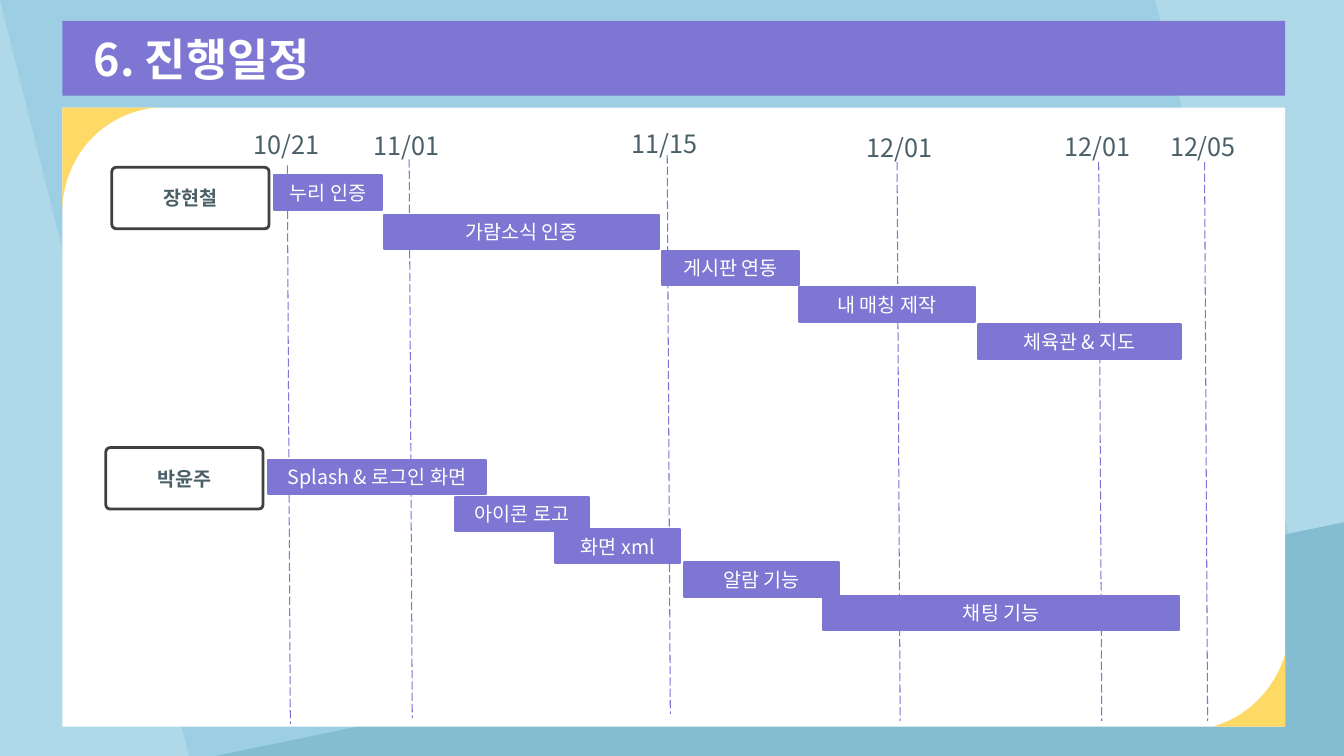
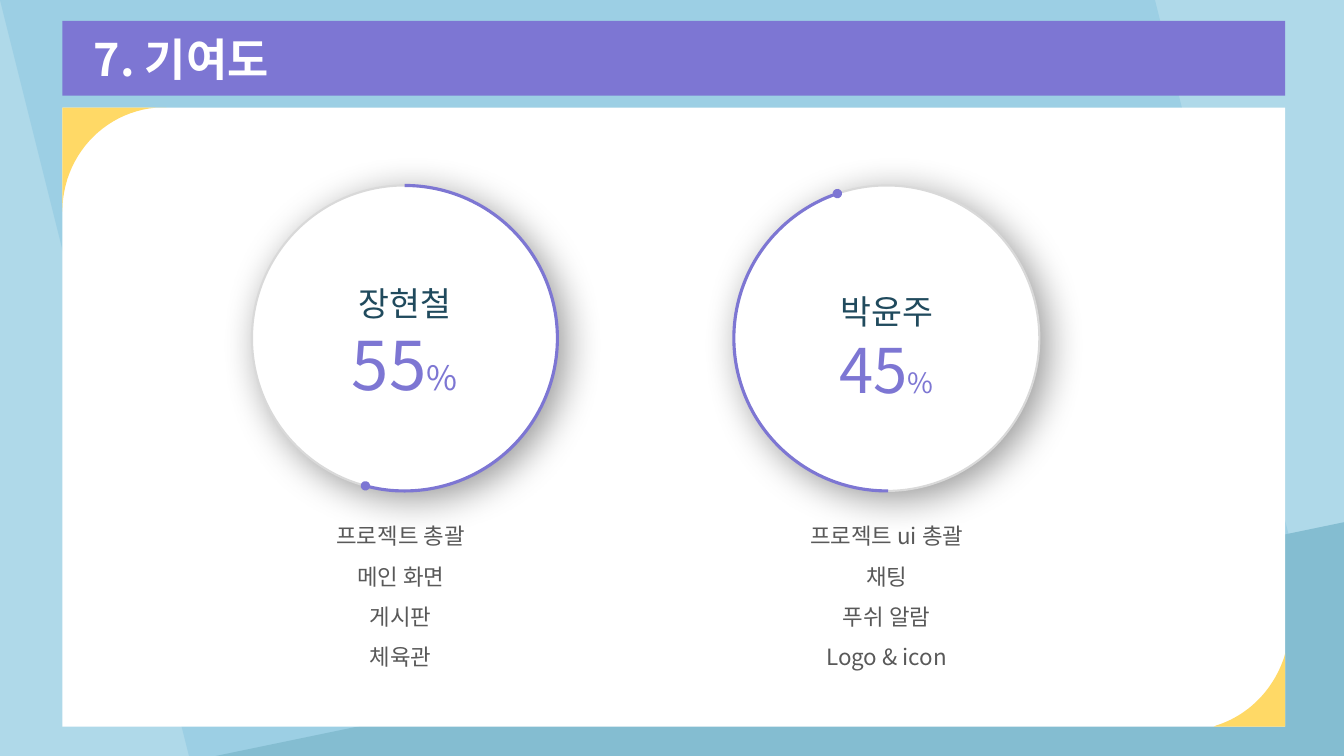
"""Build the project schedule and contribution slides."""

from dataclasses import dataclass
from typing import Any, NamedTuple

import lxml.etree
import pptx
import pptx.dml.color
import pptx.enum.dml
import pptx.enum.shapes
import pptx.enum.text
import pptx.oxml.ns
import pptx.util

Pt = pptx.util.Pt
qn = pptx.oxml.ns.qn
SHAPE = pptx.enum.shapes.MSO_SHAPE
ALIGN = pptx.enum.text.PP_ALIGN
ANCHOR = pptx.enum.text.MSO_ANCHOR

FONT = "Noto Sans CJK KR"
WIDTH, HEIGHT = 960, 540
COLORS = {
    "sky": "AFD9E9", "band": "9CCFE4", "wedge": "84BDD1",
    "purple": "7D76D3", "white": "FFFFFF", "yellow": "FFD966",
    "slate": "4A5F68", "frame": "404040", "ring": "D9D9D9",
    "navy": "204A5D", "gray": "595959", "black": "000000",
}
PANEL = (44.6, 77, 873.4, 442.1)
GUIDE_DX, GUIDE_DY = 2.2, 399
BAR_HEIGHT = 24.5
NAME_SIZE = (112.3, 43.9)
RING = 218.2


class Run(NamedTuple):
    text: str
    size: float
    color: str
    bold: bool = False


class Corner(NamedTuple):
    outline: list[tuple[float, float]]
    curve: list[tuple[float, float]]


class Milestone(NamedTuple):
    date: str
    x: float
    y: float
    guide_x: float
    guide_y: float


class Task(NamedTuple):
    label: str
    x: float
    y: float
    width: float


@dataclass
class Member:
    name: str
    x: float
    y: float
    tasks: list[Task]


@dataclass
class Share:
    name: str
    percent: str
    x: float
    sizes: tuple[float, float]
    angles: tuple[float, float]
    bottom_inset: float
    details_x: float
    details: list[str]


CORNERS = [
    Corner([(44.6, 77), (118.8, 77), (110.9, 77)],
           [(73.4, 80.6), (44.6, 112.3), (44.6, 151.2)]),
    Corner([(918, 466.6), (918, 519.1), (866.9, 519.1), (868.3, 518.4)],
           [(891.4, 511.2), (909.4, 493.2), (917.3, 469.4)]),
]
MILESTONES = [
    Milestone("10/21", 174.2, 88.6, 205.2, 118.1),
    Milestone("11/01", 259.9, 89.3, 292.3, 113.8),
    Milestone("11/15", 444.2, 87.8, 476.6, 110.9),
    Milestone("12/01", 612, 90.7, 640.8, 115.9),
    Milestone("12/01", 753.1, 90, 784.8, 115.9),
    Milestone("12/05", 828.7, 90, 860.4, 115.9),
]
MEMBERS = [
    Member("장현철", 79.9, 119.5, [
        Task("누리 인증", 195.8, 125.3, 77),
        Task("가람소식 인증", 274.3, 153.4, 196.6),
        Task("게시판 연동", 473, 179.3, 97.9),
        Task("내 매칭 제작", 571, 205.2, 125.3),
        Task("체육관 & 지도", 698.4, 231.8, 145.4),
    ]),
    Member("박윤주", 75.6, 319.7, [
        Task("Splash & 로그인 화면", 191.5, 328.3, 155.5),
        Task("아이콘 로고", 325.4, 355, 95),
        Task("화면 xml", 396.7, 378, 89.3),
        Task("알람 기능", 488.9, 401.8, 110.2),
        Task("채팅 기능", 588.2, 425.5, 254.2),
    ]),
]
SHARES = [
    Share("장현철", "55", 180, (48, 24), (270, 104.9), 7, 213.1,
          ["프로젝트 총괄", "메인 화면", "게시판", "체육관"]),
    Share("박윤주", "45", 524.2, (44, 20), (89.4, 251.2), 0, 560.2,
          ["프로젝트 ui 총괄", "채팅", "푸쉬 알람", "Logo & icon"]),
]


def rgb(name: str) -> pptx.dml.color.RGBColor:
    """Return a palette colour."""
    return pptx.dml.color.RGBColor.from_string(COLORS[name])


def assign(target: Any, values: dict[str, Any]) -> None:
    """Set each format value on the target."""
    for key, value in values.items():
        setattr(target, key, value)


def paint(sp: Any, fill: str | None, line: str | None = None,
          weight: float = 1) -> None:
    """Set fill and line and drop the shadow."""
    sp.shadow.inherit = False
    if fill:
        sp.fill.solid()
        sp.fill.fore_color.rgb = rgb(fill)
    else:
        sp.fill.background()
    if line:
        sp.line.color.rgb = rgb(line)
        sp.line.width = Pt(weight)
    else:
        sp.line.fill.background()


def add_shape(shapes: Any, kind: Any, box: tuple[float, ...], fill: str | None,
              line: str | None = None, weight: float = 1) -> Any:
    """Add a painted preset shape."""
    sp = shapes.add_shape(kind, *map(Pt, box))
    paint(sp, fill, line, weight)
    return sp


def write(sp: Any, paragraphs: list[list[Run]], align: Any = ALIGN.CENTER,
          anchor: Any = ANCHOR.MIDDLE,
          insets: tuple[float, ...] = (0, 0, 0, 0),
          spacing: tuple[float, ...] = ()) -> None:
    """Fill a shape with formatted paragraphs."""
    tf = sp.text_frame
    left, top, right, bottom = map(Pt, insets)
    assign(tf, {
        "word_wrap": True, "auto_size": pptx.enum.text.MSO_AUTO_SIZE.NONE,
        "vertical_anchor": anchor, "margin_left": left, "margin_top": top,
        "margin_right": right, "margin_bottom": bottom,
    })
    for i, runs in enumerate(paragraphs):
        p = tf.add_paragraph() if i else tf.paragraphs[0]
        assign(p, {"alignment": align,
                   "line_spacing": spacing[i] if spacing else 1.0})
        for run in runs:
            r = p.add_run()
            r.text = run.text
            assign(r.font, {"name": FONT, "size": Pt(run.size),
                            "bold": run.bold})
            r.font.color.rgb = rgb(run.color)
            rpr = r.font._element
            lxml.etree.SubElement(rpr, qn("a:ea"), typeface=FONT)


def add_corner(shapes: Any, corner: Corner) -> None:
    """Draw a yellow panel corner with a curved inner edge."""
    a = corner.outline[-1]
    b, c, d = corner.curve
    points = list(corner.outline[1:])
    steps = 24
    for i in range(1, steps + 1):
        t = i / steps
        u = 1 - t
        points.append(tuple(
            u**3 * a[k] + 3 * u * u * t * b[k] + 3 * u * t * t * c[k]
            + t**3 * d[k] for k in (0, 1)))
    x, y = map(Pt, corner.outline[0])
    builder = shapes.build_freeform(x, y)
    builder.add_line_segments([(Pt(px), Pt(py)) for px, py in points])
    paint(builder.convert_to_shape(), "yellow")


def add_slide(prs: Any, title: str) -> Any:
    """Add a slide with the shared backdrop, title band and panel."""
    s = prs.slides.add_slide(prs.slide_layouts[5])
    s.background.fill.solid()
    s.background.fill.fore_color.rgb = rgb("sky")
    for kind, box, fill in (
            (SHAPE.PARALLELOGRAM, (0, 0, WIDTH, HEIGHT), "band"),
            (SHAPE.RIGHT_TRIANGLE, (154, 373, 806, 167), "wedge")):
        sp = add_shape(s.shapes, kind, box, fill)
        sp.element.spPr.xfrm.set("flipH", "1")
    band = s.shapes.title
    s.shapes.element.append(band.element)
    left, top, width, height = map(Pt, (PANEL[0], 15, PANEL[2], 53.3))
    assign(band, {"left": left, "top": top, "width": width, "height": height})
    band.fill.solid()
    band.fill.fore_color.rgb = rgb("purple")
    write(band, [[Run(title, 32, "white", True)]], ALIGN.LEFT,
          insets=(22.3, 3.6, 7.2, 3.6))
    panel = s.shapes.add_group_shape().shapes
    add_shape(panel, SHAPE.RECTANGLE, PANEL, "white")
    for corner in CORNERS:
        add_corner(panel, corner)
    return s


def add_milestone(s: Any, m: Milestone) -> None:
    """Draw a date and its dashed guide."""
    sp = s.shapes.add_textbox(*map(Pt, (m.x, m.y, 72, 28.8)))
    write(sp, [[Run(m.date, 18, "slate")]], ALIGN.LEFT, ANCHOR.TOP,
          (7.2, 3.6, 7.2, 3.6))
    ends = (m.guide_x, m.guide_y, m.guide_x + GUIDE_DX, m.guide_y + GUIDE_DY)
    c = s.shapes.add_connector(
        pptx.enum.shapes.MSO_CONNECTOR.STRAIGHT, *map(Pt, ends))
    assign(c.line, {"width": Pt(0.75),
                    "dash_style": pptx.enum.dml.MSO_LINE.LONG_DASH})
    c.line.color.rgb = rgb("purple")
    lxml.etree.SubElement(c._element.spPr, qn("a:effectLst"))


def add_member(s: Any, member: Member) -> None:
    """Draw a member's name box and task bars."""
    sp = add_shape(s.shapes, SHAPE.ROUNDED_RECTANGLE,
                   (member.x, member.y, *NAME_SIZE), "white", "frame", 2)
    sp.adjustments[0] = 0.07
    write(sp, [[Run(member.name, 14, "slate", True)]])
    for task in member.tasks:
        sp = add_shape(s.shapes, SHAPE.RECTANGLE,
                       (task.x, task.y, task.width, BAR_HEIGHT),
                       "purple", "purple", 1.5)
        write(sp, [[Run(task.label, 14, "white")]])


def add_shadow(sp: Any) -> None:
    """Give a shape a soft shadow to the lower right."""
    effects = sp.element.spPr.find(qn("a:effectLst"))
    shadow = lxml.etree.SubElement(
        effects, qn("a:outerShdw"), blurRad=str(Pt(27)), dist=str(Pt(7)),
        dir="2700000", algn="tl", rotWithShape="0")
    color = lxml.etree.SubElement(shadow, qn("a:srgbClr"),
                                  val=COLORS["black"])
    lxml.etree.SubElement(color, qn("a:alpha"), val="40000")


def add_share(s: Any, share: Share) -> None:
    """Draw a contribution ring and its details."""
    box = (share.x, 132.5, RING, RING)
    sp = add_shape(s.shapes, SHAPE.OVAL, box, "white", "ring", 1.5)
    add_shadow(sp)
    big, small = share.sizes
    write(sp, [[Run(share.name, 24, "navy")],
               [Run(share.percent, big, "purple"), Run("%", small, "purple")]],
          insets=(0, 0, 0, share.bottom_inset), spacing=(1.5, 1.0))
    arc = add_shape(s.shapes, SHAPE.ARC, box, None, "purple", 2.25)
    for i, angle in enumerate(share.angles):
        arc.adjustments[i] = angle * 0.6
    ln = arc.element.spPr.find(qn("a:ln"))
    lxml.etree.SubElement(ln, qn("a:tailEnd"), type="oval")
    sp = s.shapes.add_textbox(*map(Pt, (share.details_x, 360, 146.2, 121)))
    write(sp, [[Run(line, 16, "gray")] for line in share.details],
          anchor=ANCHOR.TOP, insets=(7.2, 3.6, 7.2, 3.6),
          spacing=(1.5,) * len(share.details))


def main() -> None:
    """Build and save the presentation."""
    prs = pptx.Presentation()
    assign(prs, {"slide_width": Pt(WIDTH), "slide_height": Pt(HEIGHT)})
    s = add_slide(prs, "6. 진행일정")
    for milestone in MILESTONES:
        add_milestone(s, milestone)
    for member in MEMBERS:
        add_member(s, member)
    s = add_slide(prs, "7. 기여도")
    for share in SHARES:
        add_share(s, share)
    prs.save("out.pptx")


if __name__ == "__main__":
    main()
